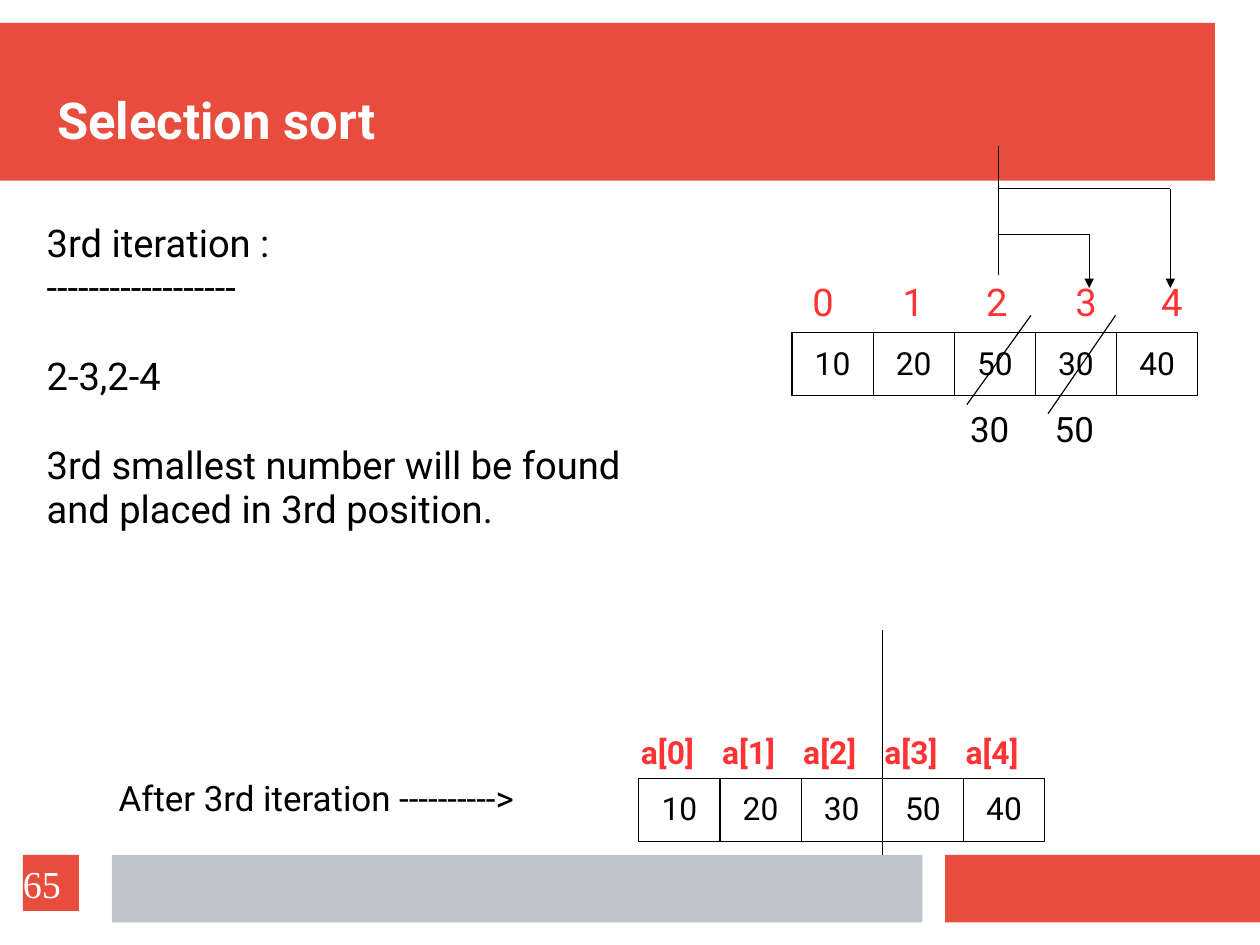
from dataclasses import dataclass

from lxml.etree import SubElement
from pptx import Presentation
from pptx.dml.color import RGBColor
from pptx.enum.shapes import MSO_CONNECTOR, MSO_SHAPE
from pptx.enum.text import MSO_ANCHOR, MSO_AUTO_SIZE, PP_ALIGN
from pptx.oxml.ns import qn
from pptx.shapes.autoshape import Shape
from pptx.shapes.connector import Connector
from pptx.slide import Slide
from pptx.util import Emu, Inches, Pt

COLORS = {"red": "E74C3C", "grey": "BDC3C7", "white": "FFFFFF",
          "black": "000000", "index": "FF3333"}
# 28 by 21 cm page, as office suites store it
SLIDE_WIDTH, SLIDE_HEIGHT = Emu(10080625), Emu(7559675)
CELL_WIDTH, CELL_HEIGHT = 0.71, 0.55
PADDING = (0.1, 0.05, 0.1, 0.05)


def color(name: str) -> RGBColor:
    return RGBColor.from_string(COLORS[name])


@dataclass
class Box:
    left: float
    top: float
    width: float
    height: float

    def lengths(self) -> list[int]:
        return [Inches(v) for v in (self.left, self.top, self.width, self.height)]


@dataclass
class TextStyle:
    size: float
    color: str = "black"
    bold: bool = False
    font: str = "Roboto"
    align: PP_ALIGN = PP_ALIGN.LEFT
    anchor: MSO_ANCHOR = MSO_ANCHOR.TOP
    padding: tuple[float, ...] = PADDING
    line_spacing: float = 0.97


@dataclass
class Line:
    start: tuple[float, float]
    end: tuple[float, float]
    arrow: bool = False


@dataclass
class ArrayRow:
    left: float
    top: float
    values: list[str]
    labels: list[str]
    label_lefts: list[float]
    label_top: float
    label_size: tuple[float, float]
    label_style: TextStyle


def write(shape: Shape, lines: list[str], style: TextStyle,
          gaps: tuple[int, ...] = ()) -> None:
    """Fill a shape with paragraphs; gaps lists those with a line of space before."""
    frame = shape.text_frame
    left, top, right, bottom = (Inches(v) for v in style.padding)
    frame_format = {"word_wrap": True, "auto_size": MSO_AUTO_SIZE.NONE,
                    "vertical_anchor": style.anchor,
                    "margin_left": left, "margin_top": top,
                    "margin_right": right, "margin_bottom": bottom}
    for name, value in frame_format.items():
        setattr(frame, name, value)
    font_format = {"size": Pt(style.size), "name": style.font, "bold": style.bold}
    for number, line in enumerate(lines):
        paragraph = frame.add_paragraph() if number else frame.paragraphs[0]
        paragraph.alignment = style.align
        paragraph.line_spacing = style.line_spacing
        paragraph.space_before = Pt(28 if number in gaps else 0)
        run = paragraph.add_run()
        run.text = line
        for name, value in font_format.items():
            setattr(run.font, name, value)
        run.font.color.rgb = color(style.color)


def add_rectangle(slide: Slide, box: Box, fill: str, outlined: bool = False) -> Shape:
    shape = slide.shapes.add_shape(MSO_SHAPE.RECTANGLE, *box.lengths())
    shape.shadow.inherit = False
    shape.fill.solid()
    shape.fill.fore_color.rgb = color(fill)
    if outlined:
        shape.line.color.rgb = color("black")
        shape.line.width = Pt(0.75)
    else:
        shape.line.fill.background()
    return shape


def add_text(slide: Slide, box: Box, lines: list[str], style: TextStyle,
             gaps: tuple[int, ...] = ()) -> Shape:
    shape = slide.shapes.add_textbox(*box.lengths())
    write(shape, lines, style, gaps)
    return shape


def add_line(slide: Slide, line: Line) -> Connector:
    points = [Inches(v) for v in (*line.start, *line.end)]
    connector = slide.shapes.add_connector(MSO_CONNECTOR.STRAIGHT, *points)
    connector.line.color.rgb = color("black")
    connector.line.width = Pt(0.75)
    if line.arrow:
        SubElement(connector.line._get_or_add_ln(), qn("a:tailEnd"), type="triangle")
    SubElement(connector._element.spPr, qn("a:effectLst"))
    return connector


def add_array(slide: Slide, row: ArrayRow) -> list[Shape]:
    """Draw the cells of an array and return its index labels."""
    style = TextStyle(20, align=PP_ALIGN.CENTER, anchor=MSO_ANCHOR.MIDDLE)
    for column, value in enumerate(row.values):
        box = Box(row.left + column * CELL_WIDTH, row.top, CELL_WIDTH, CELL_HEIGHT)
        write(add_rectangle(slide, box, "white", outlined=True), [value], style)
    return [add_text(slide, Box(left, row.label_top, *row.label_size), [label],
                     row.label_style)
            for left, label in zip(row.label_lefts, row.labels)]


def main() -> None:
    presentation = Presentation()
    presentation.slide_width = SLIDE_WIDTH
    presentation.slide_height = SLIDE_HEIGHT
    slide = presentation.slides.add_slide(presentation.slide_layouts[5])

    # Header and footer bands
    for box, fill in ((Box(0, 0.2, 10.63, 1.38), "red"),
                      (Box(8.27, 7.48, 2.76, 0.59), "red"),
                      (Box(0.98, 7.48, 7.09, 0.59), "grey")):
        add_rectangle(slide, box, fill)

    # Title, brought in front of the header band
    title = slide.shapes.title
    title.left, title.top, title.width, title.height = Box(0.39, 0.39, 10.19, 0.93).lengths()
    write(title, ["Selection sort"],
          TextStyle(32, "white", bold=True, anchor=MSO_ANCHOR.BOTTOM, padding=(0.11, 0, 0, 0)))
    slide.shapes._spTree.append(title._element)

    # Explanation
    add_text(slide, Box(0.31, 1.89, 5.75, 2.83),
             ["3rd iteration :", "------------------", "2-3,2-4",
              "3rd smallest number will be found", "and placed in 3rd position."],
             TextStyle(24), gaps=(2, 3))
    add_text(slide, Box(0.94, 6.77, 4.37, 0.47),
             ["After 3rd iteration ---------->"], TextStyle(22))

    # Array during and after the iteration
    indexes = add_array(slide, ArrayRow(
        6.93, 2.91, ["10", "20", "50", "30", "40"], [str(i) for i in range(5)],
        [7.01, 7.8, 8.53, 9.31, 10.06], 2.41, (0.41, 0.5), TextStyle(24, "index")))
    add_array(slide, ArrayRow(
        5.59, 6.81, ["10", "20", "30", "50", "40"], [f"a[{i}]" for i in range(5)],
        [5.51 + i * CELL_WIDTH for i in range(5)], 6.38, (0.83, 0.43),
        TextStyle(20, "index", bold=True)))

    # Swapped values below the struck-out cells
    for value, left in (("30", 8.39), ("50", 9.13)):
        add_text(slide, Box(left, 3.54, 0.59, 0.47), [value], TextStyle(22))

    # Comparison stem, rising from the label of index 2
    stem = add_line(slide, Line((8.74, 2.41), (8.74, 1.28)))
    stem.begin_connect(indexes[2], 0)
    stem.end_x = stem.begin_x

    # Comparison branches, strike-outs and the sorted boundary
    for line in (Line((8.74, 2.05), (9.53, 2.05)),
                 Line((8.74, 1.65), (10.24, 1.65)),
                 Line((9.53, 2.05), (9.53, 2.52), arrow=True),
                 Line((10.24, 1.65), (10.24, 2.52), arrow=True),
                 Line((9.02, 2.76), (8.46, 3.54)),
                 Line((9.76, 2.76), (9.17, 3.62)),
                 Line((7.72, 5.51), (7.72, 7.48))):
        add_line(slide, line)

    # Page number
    write(add_rectangle(slide, Box(0.2, 7.48, 0.49, 0.49), "red"), ["65"],
          TextStyle(24, "white", font="Times New Roman", anchor=MSO_ANCHOR.MIDDLE,
                    padding=(0, 0, 0, 0), line_spacing=1.0))

    presentation.save("out.pptx")


if __name__ == "__main__":
    main()
